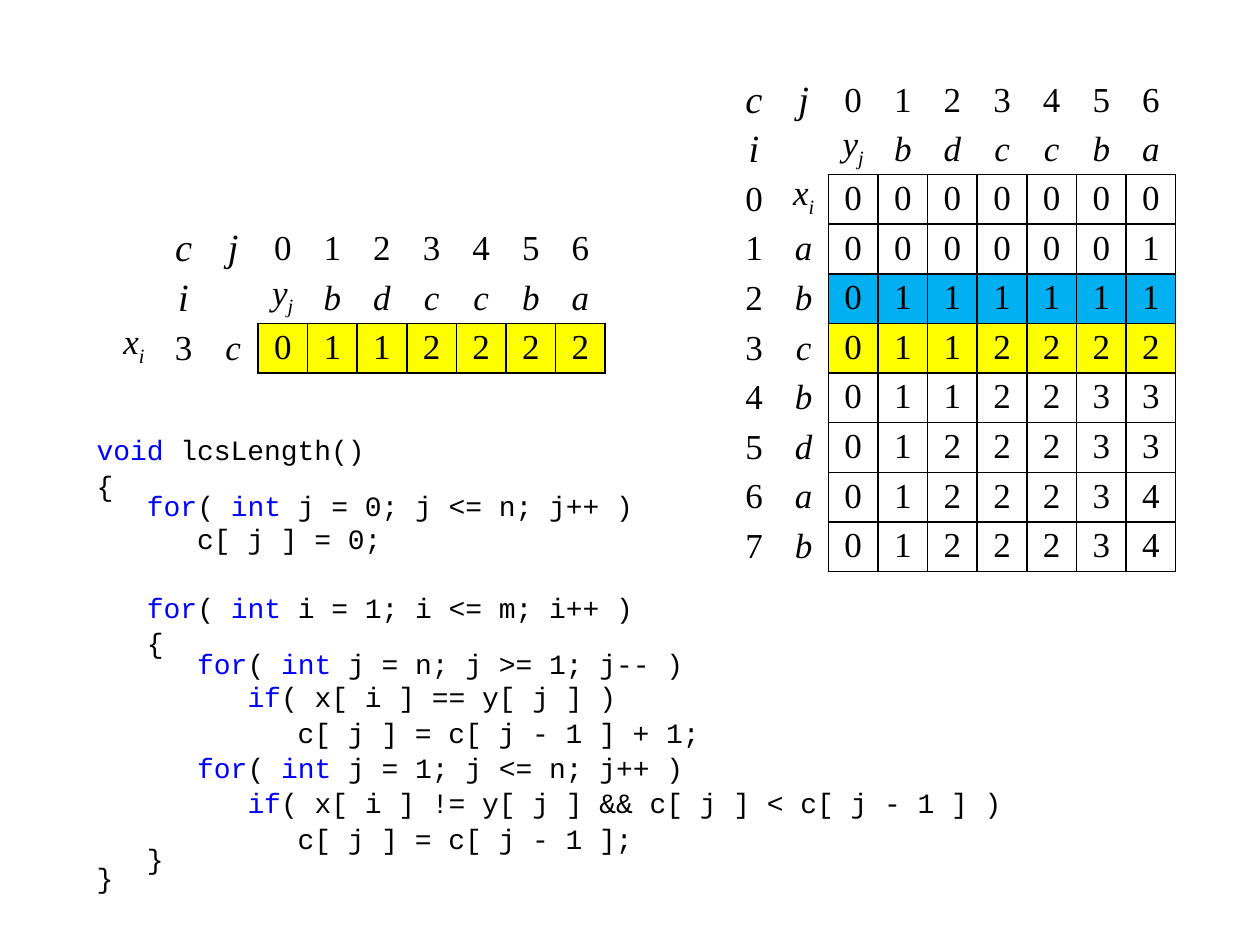
from dataclasses import dataclass
from typing import Optional

from lxml.etree import SubElement
from pptx import Presentation
from pptx.dml.color import RGBColor as Rgb
from pptx.enum.text import MSO_ANCHOR as Anchor, PP_ALIGN as Align
from pptx.oxml.ns import qn
from pptx.util import Cm, Pt

COLORS = {
    "text": "000000",
    "keyword": "0000FF",
    "plain": "FFFFFF",
    "previous": "00B0F0",
    "current": "FFFF00",
}
CODE_FONT = "Courier New"
TABLE_FONT = "Times New Roman"
NO_STYLE = "{2D5ABB26-0587-4C30-8999-92F81FD0307C}"
CELL_SIZE = Cm(1)


@dataclass
class CodeLine:
    text: str
    spacing: float = 1.0
    before: float = 1.0


@dataclass
class Entry:
    text: str = ""
    subscript: str = ""
    size: float = 20
    italic: bool = False
    spacing: Optional[float] = None
    fill: Optional[str] = None
    borders: str = ""


CODE = [
    CodeLine("|void| lcsLength()", before=0),
    CodeLine("{"),
    CodeLine("   |for|( |int| j = 0; j <= n; j++ )", spacing=0.5),
    CodeLine("      c[ j ] = 0;"),
    CodeLine("   |for|( |int| i = 1; i <= m; i++ )", before=20),
    CodeLine("   {"),
    CodeLine("      |for|( |int| j = n; j >= 1; j-- )", spacing=0.5),
    CodeLine("         |if|( x[ i ] == y[ j ] )"),
    CodeLine("            c[ j ] = c[ j - 1 ] + 1;"),
    CodeLine("      |for|( |int| j = 1; j <= n; j++ )"),
    CodeLine("         |if|( x[ i ] != y[ j ] && c[ j ] < c[ j - 1 ] )"),
    CodeLine("            c[ j ] = c[ j - 1 ];"),
    CodeLine("   }", spacing=0.5),
    CodeLine("}", spacing=0.5),
]
Y_LETTERS = "bdccba"
X_LETTERS = "abcbdab"
LENGTHS = ["0000000", "0000001", "0111111", "0112222",
           "0112233", "0122233", "0122234", "0122234"]
HIGHLIGHTS = {2: "previous", 3: "current"}


def add_span(para, text: str, *, font: str, size: float, color: str = "text",
             italic: bool = False, baseline: int = 0) -> None:
    span = para.add_run()
    span.text = text
    span.font.name = font
    span.font.size = Pt(size)
    span.font.italic = italic
    span.font.color.rgb = Rgb.from_string(COLORS[color])
    if baseline:
        span._r.get_or_add_rPr().set("baseline", str(baseline))


def add_code(page, lines: list[CodeLine]) -> None:
    box = page.shapes.add_textbox(Cm(1.7), Cm(8.6), Cm(19), Cm(9))
    frame = box.text_frame
    frame.word_wrap = True
    for index, line in enumerate(lines):
        para = frame.add_paragraph() if index else frame.paragraphs[0]
        para.line_spacing = line.spacing
        para.space_before = Pt(line.before)
        for position, part in enumerate(line.text.split("|")):
            if part:
                add_span(para, part, font=CODE_FONT, size=16,
                         color="keyword" if position % 2 else "text")


def add_border(cell, side: str) -> None:
    line = SubElement(cell._tc.get_or_add_tcPr(), qn(f"a:ln{side}"), w=str(Pt(1)))
    fill = SubElement(line, qn("a:solidFill"))
    SubElement(fill, qn("a:srgbClr"), val=COLORS["text"])


def fill_cell(cell, entry: Entry) -> None:
    cell.margin_top = cell.margin_bottom = 0
    cell.vertical_anchor = Anchor.TOP if entry.subscript else Anchor.MIDDLE
    for side in entry.borders:
        add_border(cell, side)
    if entry.fill:
        cell.fill.solid()
        cell.fill.fore_color.rgb = Rgb.from_string(COLORS[entry.fill])
    else:
        cell.fill.background()
    para = cell.text_frame.paragraphs[0]
    para.alignment = Align.CENTER
    if entry.spacing:
        para.line_spacing = entry.spacing
    for text, baseline in ((entry.text, 0), (entry.subscript, -25000)):
        if text:
            add_span(para, text, font=TABLE_FONT, size=entry.size,
                     italic=entry.italic, baseline=baseline)


def add_grid(page, left: Cm, top: Cm, rows: list[list[Entry]]) -> None:
    row_count, column_count = len(rows), len(rows[0])
    frame = page.shapes.add_table(row_count, column_count, left, top,
                                  CELL_SIZE * column_count, CELL_SIZE * row_count)
    table = frame.table
    table.first_row = table.horz_banding = False
    table._tbl.tblPr.find(qn("a:tableStyleId")).text = NO_STYLE
    for line in (*table.columns, *table.rows):
        if line in tuple(table.columns):
            line.width = CELL_SIZE
    for column in table.columns:
        column.width = CELL_SIZE
    for row, entries in zip(table.rows, rows):
        row.height = CELL_SIZE
        for cell, entry in zip(row.cells, entries):
            fill_cell(cell, entry)


def header_rows() -> list[list[Entry]]:
    numbers = [Entry(str(number)) for number in range(len(Y_LETTERS) + 1)]
    letters = [Entry(letter, italic=True, fill="plain", borders="B")
               for letter in Y_LETTERS]
    corner = [Entry(name, size=22, italic=True) for name in "cji"]
    y_label = Entry("y", "j", italic=True, fill="plain", borders="B")
    return [[corner[0], corner[1], *numbers],
            [corner[2], Entry(), y_label, *letters]]


def x_label() -> Entry:
    return Entry("x", "i", italic=True)


def length_row(index: int) -> list[Entry]:
    label = Entry(X_LETTERS[index - 1], italic=True) if index else x_label()
    label.fill = "plain"
    label.borders = "R"
    fill = HIGHLIGHTS.get(index, "plain")
    values = [Entry(value, spacing=0.95, fill=fill, borders="LRTB")
              for value in LENGTHS[index]]
    return [Entry(str(index)), label, *values]


def main() -> None:
    deck = Presentation()
    deck.slide_width, deck.slide_height = Cm(25.4), Cm(19.05)
    page = deck.slides.add_slide(deck.slide_layouts[6])
    add_code(page, CODE)
    full_rows = header_rows() + [length_row(index) for index in range(len(LENGTHS))]
    add_grid(page, Cm(14.7), Cm(1.52), full_rows)
    row_labels = [Entry(), Entry(), x_label()]
    current_rows = header_rows() + [length_row(3)]
    add_grid(page, Cm(2.2), Cm(4.52),
             [[label, *row] for label, row in zip(row_labels, current_rows)])
    deck.save("out.pptx")


if __name__ == "__main__":
    main()
